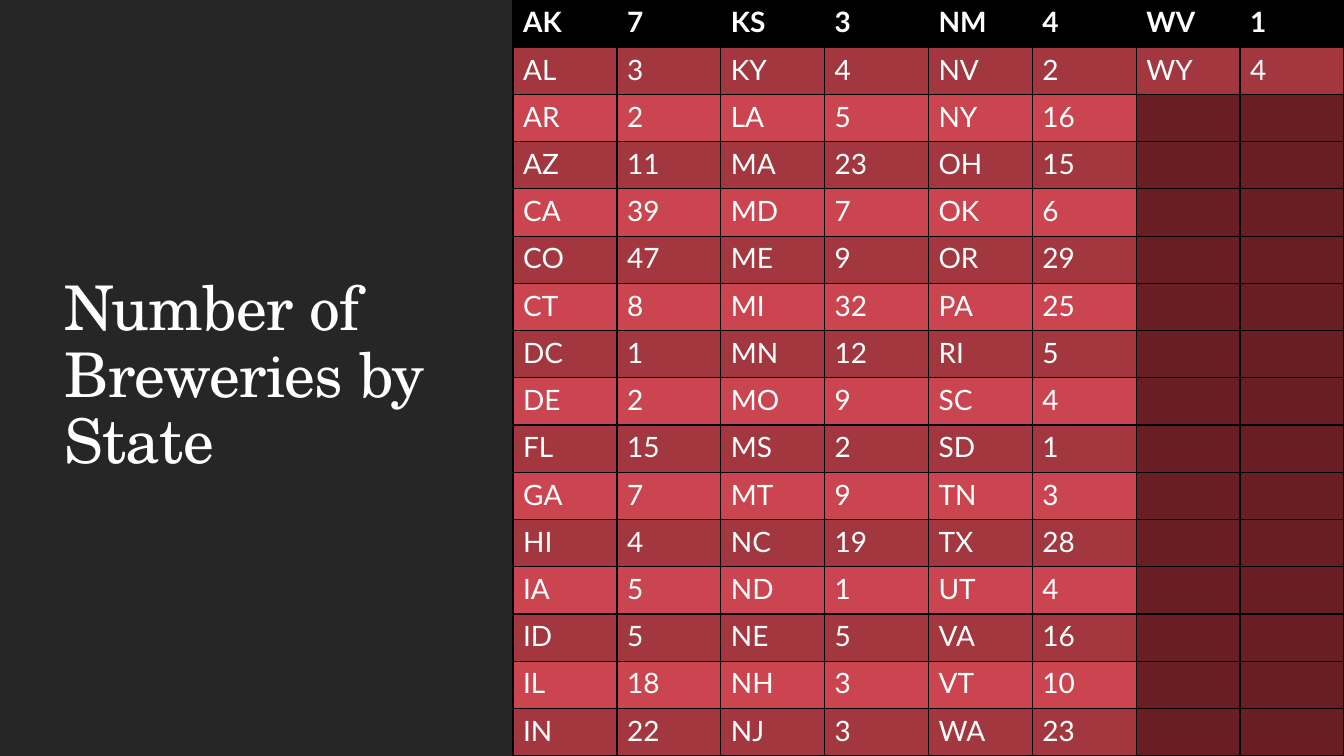
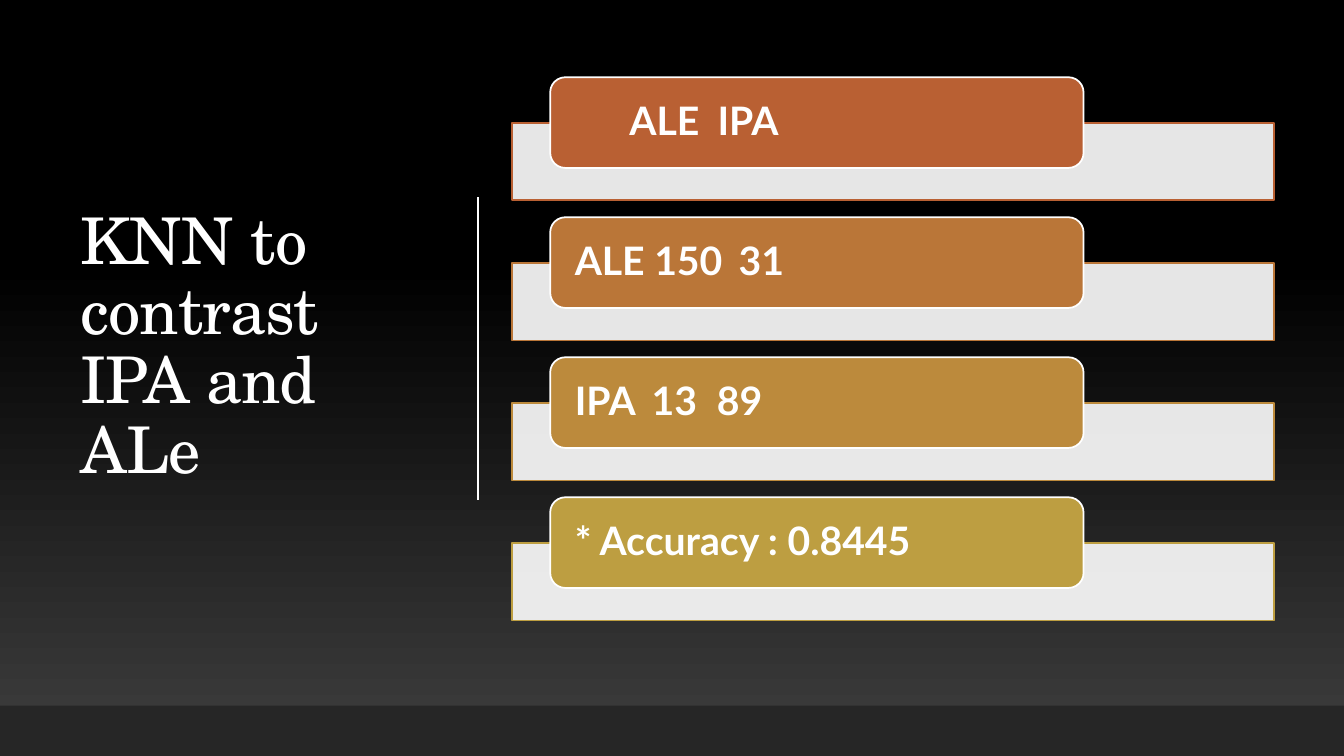
from lxml import etree
from pptx import Presentation
from pptx import util as u
from pptx.dml.color import RGBColor
from pptx.enum import shapes, text
from pptx.oxml import ns

WHITE, BLACK, CHARCOAL = "FFFFFF", "000000", "262626"
HEADING_FONT, BODY_FONT = "TeX Gyre Schola", "Lato"
ROW_COLOURS = ("CB4550", "A33740")
EMPTY_CELL = "6A1E24"


def paint(fill, colour):
    fill.solid()
    fill.fore_color.rgb = RGBColor.from_string(colour)


def write(frame, content, font_values, frame_values):
    for name, value in frame_values.items():
        setattr(frame, name, value)
    paragraph = frame.paragraphs[0]
    run = paragraph.add_run()
    run.text = content
    for name, value in font_values.items():
        setattr(run.font, name, value)
    paint(run.font.fill, WHITE)
    return paragraph


presentation = Presentation()
presentation.slide_width, presentation.slide_height = u.Pt(960), u.Pt(540)
blank = presentation.slide_layouts[6]
brewery_slide = presentation.slides.add_slide(blank)
knn_slide = presentation.slides.add_slide(blank)

paint(brewery_slide.background.fill, WHITE)
backdrop = knn_slide.background.fill
backdrop.gradient()
backdrop.gradient_angle = 90
for stop, position, colour in zip(backdrop.gradient_stops, (0, 0.65), ("3F3F3F", BLACK)):
    stop.position = position
    stop.color.rgb = RGBColor.from_string(colour)

frames = (
    (brewery_slide, (0, 0, 366, 540), "Number of Breweries by State", 44, (39, 47.5, 286.5, 444)),
    (knn_slide, (0, 504, 960, 36), "KNN to contrast IPA and ALe", 46, (50.4, 49.7, 265.7, 398)),
)
for slide, band_box, heading, size, title_box in frames:
    band = slide.shapes.add_shape(shapes.MSO_SHAPE.RECTANGLE, *map(u.Pt, band_box))
    band.shadow.inherit = False
    paint(band.fill, CHARCOAL)
    band.line.fill.background()
    title = slide.shapes.add_textbox(*map(u.Pt, title_box))
    paragraph = write(
        title.text_frame,
        heading,
        {"name": HEADING_FONT, "size": u.Pt(size)},
        {"word_wrap": True, "vertical_anchor": text.MSO_ANCHOR.MIDDLE},
    )
    paragraph.line_spacing = 0.9
    paragraph.runs[0].font._element.set("spc", "-50")

breweries = """
AK 7 KS 3 NM 4 WV 1
AL 3 KY 4 NV 2 WY 4
AR 2 LA 5 NY 16
AZ 11 MA 23 OH 15
CA 39 MD 7 OK 6
CO 47 ME 9 OR 29
CT 8 MI 32 PA 25
DC 1 MN 12 RI 5
DE 2 MO 9 SC 4
FL 15 MS 2 SD 1
GA 7 MT 9 TN 3
HI 4 NC 19 TX 28
IA 5 ND 1 UT 4
ID 5 NE 5 VA 16
IL 18 NH 3 VT 10
IN 22 NJ 3 WA 23
"""
rows = [line.split() for line in breweries.strip().splitlines()]
column_count = len(rows[0])
table = brewery_slide.shapes.add_table(
    len(rows), column_count, u.Pt(366.5), 0, u.Pt(593.5), u.Pt(540)
).table
for row_index, values in enumerate(rows):
    for column_index in range(column_count):
        cell = table.cell(row_index, column_index)
        colour = BLACK if row_index == 0 else ROW_COLOURS[row_index % 2]
        if column_index < len(values):
            font_values = {"name": BODY_FONT, "size": u.Pt(20), "bold": row_index == 0}
            write(cell.text_frame, values[column_index], font_values, {})
        else:
            colour = EMPTY_CELL
        properties = cell._tc.get_or_add_tcPr()
        for side in ("lnL", "lnR", "lnT", "lnB"):
            border = etree.SubElement(properties, ns.qn(f"a:{side}"), w=str(u.Pt(1)))
            border_fill = etree.SubElement(border, ns.qn("a:solidFill"))
            etree.SubElement(border_fill, ns.qn("a:srgbClr"), val=BLACK)
        paint(cell.fill, colour)

divider = knn_slide.shapes.add_connector(
    shapes.MSO_CONNECTOR.STRAIGHT, *map(u.Pt, (341.5, 141, 341.5, 357))
)
divider.line.width = u.Pt(1)
paint(divider.line.fill, WHITE)
etree.SubElement(divider._element.spPr, ns.qn("a:effectLst"))

results = (
    ("\tALE\tIPA", "B96033", (39, 102)),
    ("ALE 150\t31", "BA7638", (117,)),
    ("IPA\t13\t89", "BC8A3C", (55, 101.5)),
    ("* Accuracy : 0.8445", "BD9E41", ()),
)
for index, (content, colour, tab_stops) in enumerate(results):
    top = 55.2 + 100 * index
    bar = knn_slide.shapes.add_shape(
        shapes.MSO_SHAPE.RECTANGLE, *map(u.Pt, (365.8, top + 32.6, 544.3, 55.4))
    )
    label = knn_slide.shapes.add_shape(
        shapes.MSO_SHAPE.ROUNDED_RECTANGLE, *map(u.Pt, (393, top, 381, 64.8))
    )
    for shape, fill_colour, line_colour in ((bar, WHITE, colour), (label, colour, WHITE)):
        shape.shadow.inherit = False
        paint(shape.fill, fill_colour)
        paint(shape.line.fill, line_colour)
        shape.line.width = u.Pt(1.25)
    bar_colour = bar._element.spPr.find(ns.qn("a:solidFill"))[0]
    etree.SubElement(bar_colour, ns.qn("a:alpha"), val="90000")

    paragraph = write(
        label.text_frame,
        content,
        {"name": BODY_FONT, "size": u.Pt(28), "bold": True},
        {
            "word_wrap": True,
            "vertical_anchor": text.MSO_ANCHOR.MIDDLE,
            "margin_left": u.Pt(14.4),
            "margin_right": u.Pt(14.4),
            "margin_top": 0,
            "margin_bottom": 0,
        },
    )
    paragraph.alignment = text.PP_ALIGN.LEFT
    paragraph.line_spacing = 0.9
    if tab_stops:
        tab_list = etree.SubElement(paragraph._p.get_or_add_pPr(), ns.qn("a:tabLst"))
        for position in tab_stops:
            etree.SubElement(tab_list, ns.qn("a:tab"), pos=str(u.Pt(position)), algn="l")

presentation.save("out.pptx")
